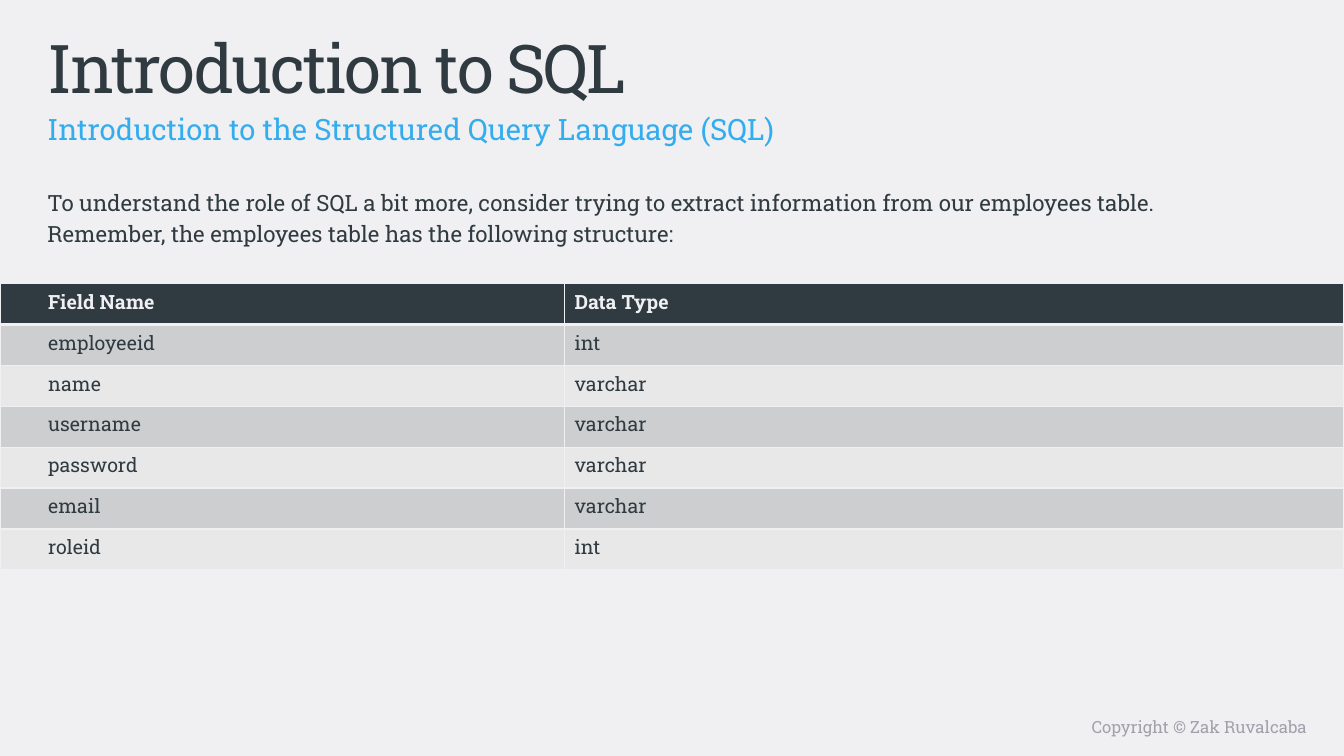
from dataclasses import dataclass

from lxml.etree import SubElement
from pptx import Presentation
from pptx.dml.color import RGBColor
from pptx.enum.text import MSO_ANCHOR, PP_ALIGN
from pptx.oxml.ns import qn
from pptx.util import Pt


@dataclass(frozen=True)
class Theme:
    """Colours, font and type sizes of the slide."""

    font: str = "Roboto Slab"
    paper: str = "F0F0F2"
    ink: str = "303B41"
    accent: str = "34ADEF"
    muted: str = "A1A1AD"
    bands: tuple = ("CDCECF", "E8E8E9")
    title: int = 48
    subtitle: int = 21
    body: int = 16
    table: int = 14
    footer: int = 12


THEME = Theme()
FIELDS = [
    ("Field Name", "Data Type"),
    ("employeeid", "int"),
    ("name", "varchar"),
    ("username", "varchar"),
    ("password", "varchar"),
    ("email", "varchar"),
    ("roleid", "int"),
]


def write(frame, text, *, size, color=THEME.ink, bold=False, align=PP_ALIGN.LEFT,
          line_spacing=None, before=None, tracking=None):
    """Put one formatted paragraph into a text frame."""
    para = frame.paragraphs[0]
    para.alignment = align
    if line_spacing:
        para.line_spacing = line_spacing
    if before:
        para.space_before = Pt(before)
    span = para.add_run()
    span.text = text
    span.font.name = THEME.font
    span.font.size = Pt(size)
    span.font.bold = bold
    span.font.color.rgb = RGBColor.from_string(color)
    if tracking:
        span.font._element.set("spc", str(round(tracking * 100)))


def add_text(page, left, top, width, height, text, **style):
    """Add a wrapping text box anchored at the top."""
    box = page.shapes.add_textbox(Pt(left), Pt(top), Pt(width), Pt(height))
    box.text_frame.word_wrap = True
    box.text_frame.vertical_anchor = MSO_ANCHOR.TOP
    write(box.text_frame, text, **style)


def set_borders(cell, **widths):
    """Draw the four cell edges in the paper colour."""
    properties = cell._tc.get_or_add_tcPr()
    for side in "LRTB":
        line = SubElement(properties, qn(f"a:ln{side}"), w=str(Pt(widths.get(side, 1))))
        fill = SubElement(line, qn("a:solidFill"))
        SubElement(fill, qn("a:srgbClr"), val=THEME.paper)


def add_field_table(page, left, top, widths, row_height, records):
    """Add a table with a dark header and alternating bands."""
    table = page.shapes.add_table(
        len(records), len(widths), Pt(left), Pt(top),
        Pt(sum(widths)), Pt(row_height * len(records))).table
    table.horz_banding = False
    for column, width in zip(table.columns, widths):
        column.width = Pt(width)
    for index, record in enumerate(records):
        table.rows[index].height = Pt(row_height)
        header = index == 0
        edges = {0: {"B": 3}, 1: {"T": 3}}.get(index, {})
        for position, text in enumerate(record):
            cell = table.cell(index, position)
            cell.margin_left = Pt(7.2 if position else 34.4)
            set_borders(cell, **edges)
            cell.fill.solid()
            cell.fill.fore_color.rgb = RGBColor.from_string(
                THEME.ink if header else THEME.bands[(index - 1) % 2])
            write(cell.text_frame, text, size=THEME.table, bold=header,
                  color=THEME.paper if header else THEME.ink)


def main():
    """Build the slide and save it."""
    deck = Presentation()
    deck.slide_width, deck.slide_height = Pt(960), Pt(540)
    page = deck.slides.add_slide(deck.slide_layouts[6])
    page.background.fill.solid()
    page.background.fill.fore_color.rgb = RGBColor.from_string(THEME.paper)

    add_text(page, 480, 508.3, 460.8, 22.3, "Copyright © Zak Ruvalcaba",
             size=THEME.footer, color=THEME.muted, align=PP_ALIGN.RIGHT)
    add_text(page, 26.8, 15.1, 846.7, 56.9, "Introduction to SQL",
             size=THEME.title, tracking=-1.5)
    add_text(page, 26.8, 71.3, 846.7, 28.1,
             "Introduction to the Structured Query Language (SQL)",
             size=THEME.subtitle, color=THEME.accent, line_spacing=1.17, before=2)
    add_text(page, 26.8, 128.2, 874.1, 64.8,
             "To understand the role of SQL a bit more, consider trying to extract "
             "information from our employees table. Remember, the employees table "
             "has the following structure:",
             size=THEME.body, line_spacing=1.17, before=2)
    add_field_table(page, 0, 202.5, (403.2, 556.8), 29.23, FIELDS)
    deck.save("out.pptx")


if __name__ == "__main__":
    main()
